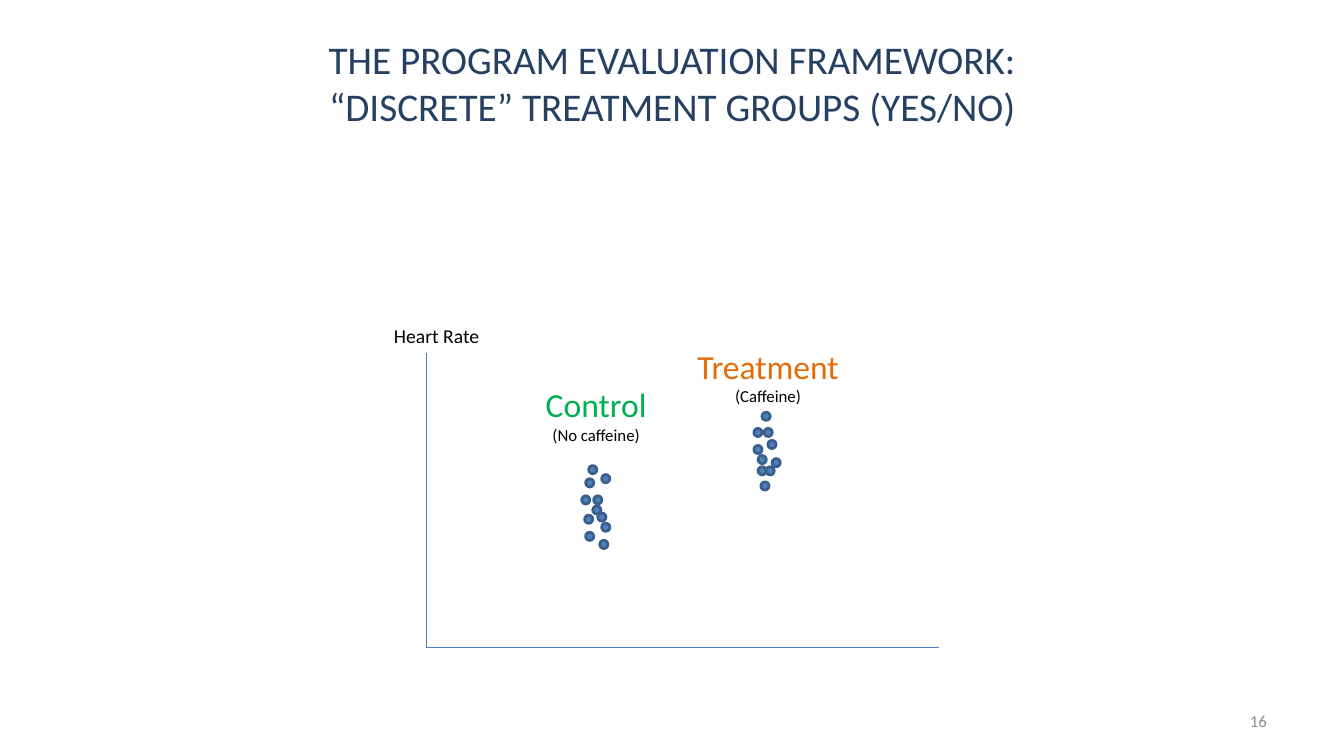
from collections import namedtuple
from dataclasses import dataclass

from lxml.etree import SubElement
from pptx import Presentation
from pptx.dml.color import RGBColor as Rgb
from pptx.enum.shapes import MSO_CONNECTOR as Connector, MSO_SHAPE as Shape
from pptx.enum.text import MSO_ANCHOR as Anchor, PP_ALIGN as Align
from pptx.oxml.ns import qn
from pptx.util import Pt

Box = namedtuple("Box", "left top width height")
Group = namedtuple("Group", "name note color label dots")


@dataclass(frozen=True)
class Theme:
    font: str = "Calibri"
    title: Rgb = Rgb(0x25, 0x40, 0x61)
    text: Rgb = Rgb(0, 0, 0)
    muted: Rgb = Rgb(0x8C, 0x8C, 0x8C)
    axis: Rgb = Rgb(0x4B, 0x7E, 0xBC)
    dot: Rgb = Rgb(0x4F, 0x81, 0xBD)
    dot_edge: Rgb = Rgb(0x3A, 0x5F, 0x8C)
    control: Rgb = Rgb(0x00, 0xB0, 0x50)
    treatment: Rgb = Rgb(0xE4, 0x6C, 0x0A)
    title_size: int = 28
    group_size: int = 24
    axis_size: int = 14
    small_size: int = 12


THEME = Theme()
DOT_SIZE = 5.8

# Label boxes and dot corners are offsets in points from the plot's top left.
GROUPS = [
    Group("Control", "(No caffeine)", THEME.control, Box(77.8, 18.7, 87, 51), [
        (116, 80.6), (125.3, 87), (113.8, 90), (111, 102.2), (119.6, 102.2),
        (118.9, 109.4), (122.5, 114.5), (113.1, 116), (125.3, 121.7),
        (113.8, 128.2), (123.9, 134)]),
    Group("Treatment", "(Caffeine)", THEME.treatment, Box(185.8, -8.6, 116.6, 51), [
        (239.8, 42.5), (234, 54), (241.3, 54), (244, 62.6), (234, 66.2),
        (237, 73.4), (247, 75.6), (237, 81.4), (242.7, 81.4), (239, 92.2)]),
]


def points(*values):
    return [Pt(value) for value in values]


def inside(box, part):
    """Move a part given relative to the box onto the slide."""
    return Box(box.left + part.left, box.top + part.top, part.width, part.height)


def style(para, size, color, align):
    para.alignment = align
    para.font.name = THEME.font
    para.font.size = Pt(size)
    para.font.color.rgb = color


def add_text(shapes, box, lines, align=Align.LEFT, wrap=False, anchor=Anchor.TOP):
    """Add a text box; each line is (text, size, color)."""
    frame = shapes.add_textbox(*points(*box)).text_frame
    frame.word_wrap = wrap
    frame.vertical_anchor = anchor
    for index, (text, size, color) in enumerate(lines):
        para = frame.add_paragraph() if index else frame.paragraphs[0]
        para.text = text
        style(para, size, color, align)


def add_title(page, box, text):
    title = page.shapes.title
    title.left, title.top, title.width, title.height = points(*box)
    title.text_frame.vertical_anchor = Anchor.TOP
    para = title.text_frame.paragraphs[0]
    para.text = text
    style(para, THEME.title_size, THEME.title, Align.CENTER)


def add_axis(shapes, start, end):
    axis = shapes.add_connector(Connector.STRAIGHT, *points(*start, *end))
    axis.line.color.rgb = THEME.axis
    axis.line.width = Pt(0.75)
    SubElement(axis._element.spPr, qn("a:effectLst"))


def add_dot(shapes, left, top):
    dot = shapes.add_shape(Shape.OVAL, *points(left, top, DOT_SIZE, DOT_SIZE))
    dot.shadow.inherit = False
    dot.fill.solid()
    dot.fill.fore_color.rgb = THEME.dot
    dot.line.color.rgb = THEME.dot_edge
    dot.line.width = Pt(2)


def add_dot_plot(page, box, axis_name, groups):
    shapes = page.shapes.add_group_shape().shapes
    bottom = box.top + box.height
    origin = (box.left, bottom)
    add_axis(shapes, origin, (box.left + box.width, bottom))
    add_axis(shapes, origin, (box.left, box.top))
    add_text(shapes, inside(box, Box(-30.2, -23.8, 76.3, 24.5)),
             [(axis_name, THEME.axis_size, THEME.text)])
    for group in groups:
        for left, top in group.dots:
            add_dot(shapes, box.left + left, box.top + top)
        add_text(shapes, inside(box, group.label),
                 [(group.name, THEME.group_size, group.color),
                  (group.note, THEME.small_size, THEME.text)], Align.CENTER)


def main():
    deck = Presentation()
    deck.slide_width, deck.slide_height = points(960, 540)
    page = deck.slides.add_slide(deck.slide_layouts[5])
    add_title(page, Box(48, 21.6, 864, 90),
              "THE PROGRAM EVALUATION FRAMEWORK:\v“DISCRETE” TREATMENT GROUPS (YES/NO)")
    add_dot_plot(page, Box(304.5, 252, 366, 210.2), "Heart Rate", GROUPS)
    add_text(page.shapes, Box(688, 500.4, 224, 28.8),
             [("16", THEME.small_size, THEME.muted)],
             Align.RIGHT, wrap=True, anchor=Anchor.MIDDLE)
    deck.save("out.pptx")


if __name__ == "__main__":
    main()
